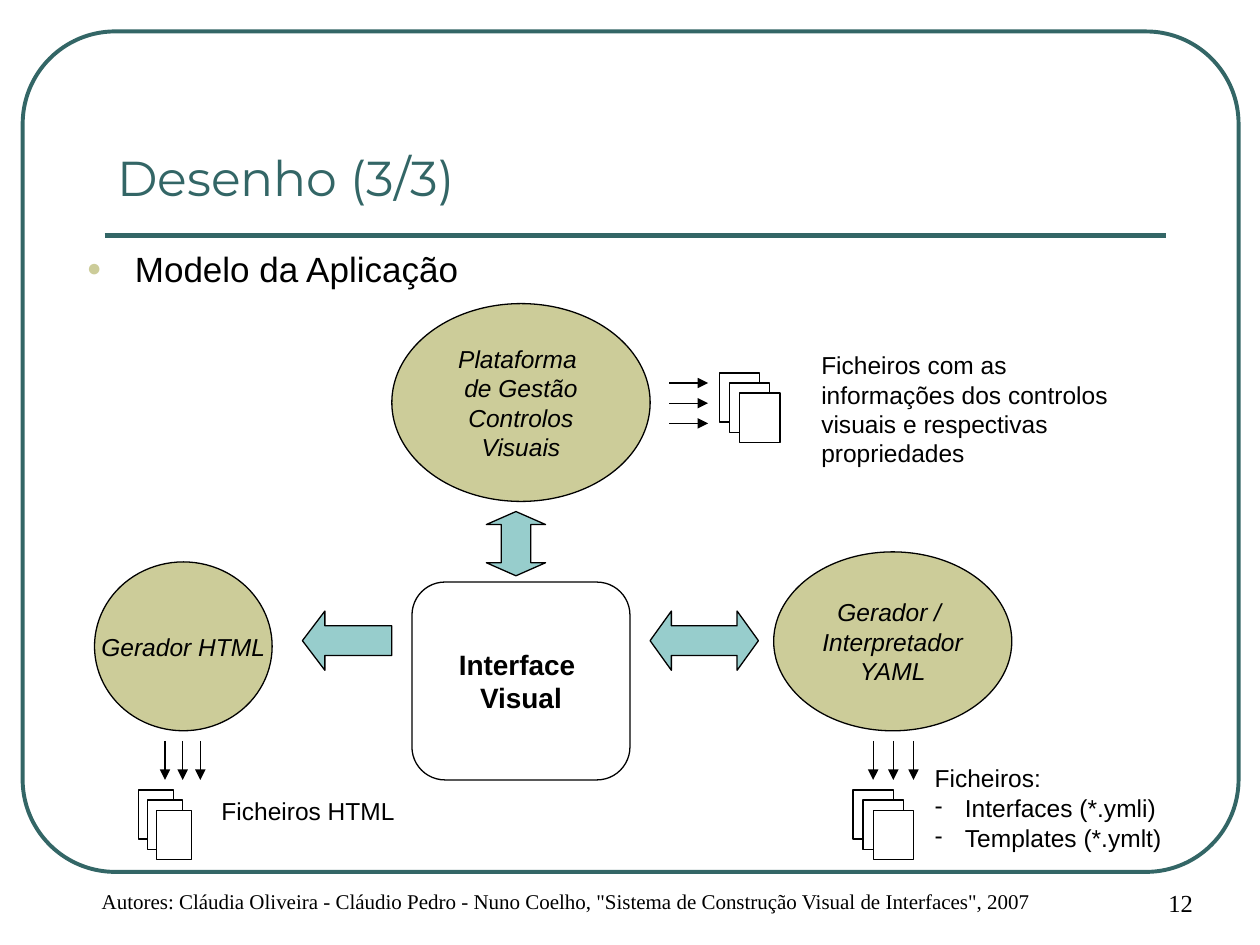
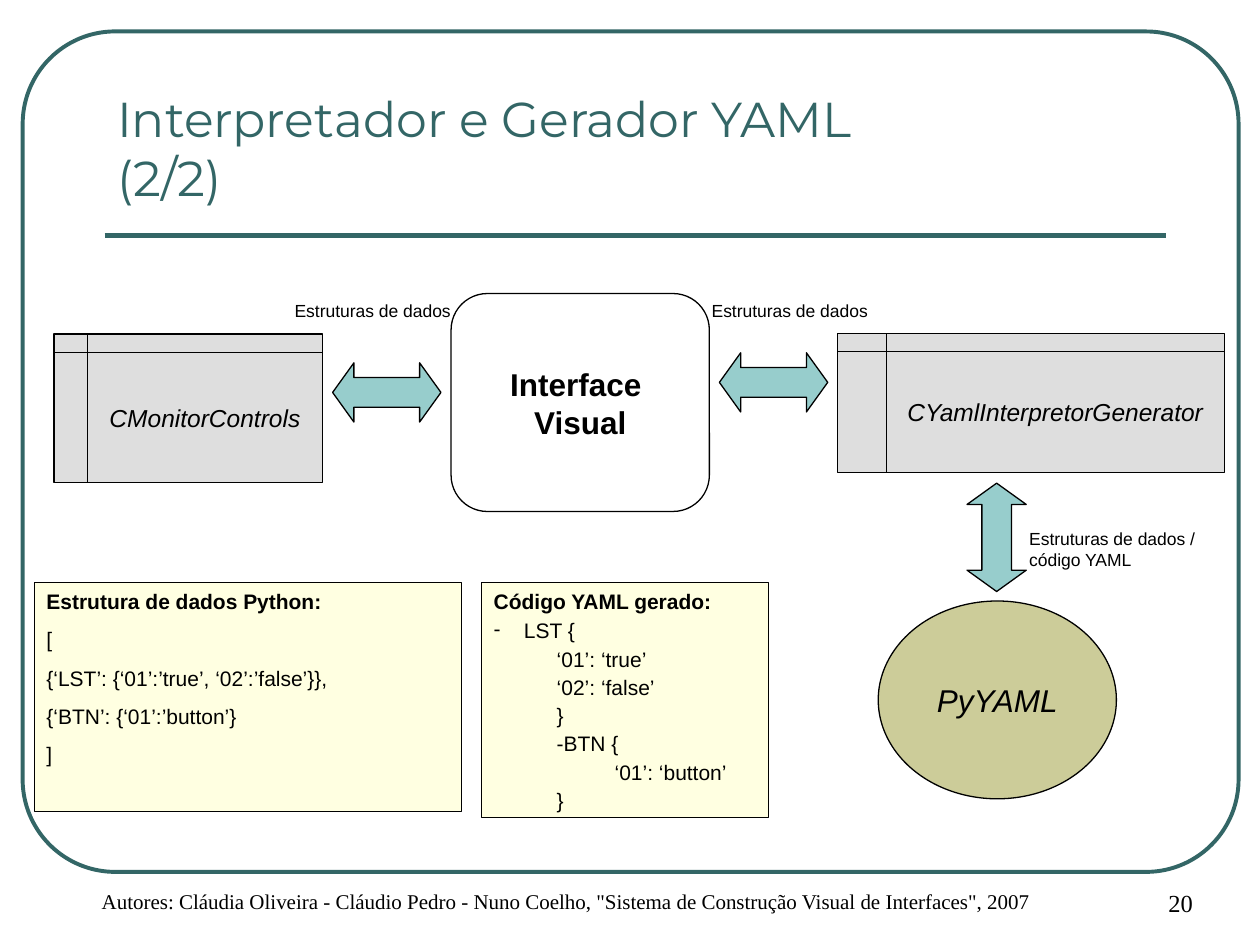
from dataclasses import dataclass
from typing import Any, Optional

from lxml.etree import SubElement
from pptx import Presentation
from pptx.dml.color import RGBColor
from pptx.enum.shapes import MSO_CONNECTOR, MSO_SHAPE
from pptx.enum.text import MSO_ANCHOR, MSO_AUTO_SIZE, PP_ALIGN
from pptx.oxml.ns import qn
from pptx.util import Inches, Pt

TEAL, SAND, AQUA = "336666", "CCCC99", "97CDCC"
GREY, CREAM, WHITE, BLACK = "DEDEDE", "FFFFE1", "FFFFFF", "000000"
AUTHORS = ('Autores: Cláudia Oliveira - Cláudio Pedro - Nuno Coelho, '
           '"Sistema de Construção Visual de Interfaces", 2007')


@dataclass(frozen=True)
class Box:
    left: float
    top: float
    width: float
    height: float

    def lengths(self) -> list[Inches]:
        return [Inches(v) for v in (self.left, self.top, self.width, self.height)]


@dataclass(frozen=True)
class Style:
    size: float
    font: str = "Arial"
    color: str = BLACK
    bold: bool = False
    italic: bool = False
    align: PP_ALIGN = PP_ALIGN.LEFT
    before: float = 0


@dataclass(frozen=True)
class Line:
    text: str
    bold: bool = False
    margin: float = 0
    hang: float = 0
    spacing: Optional[float] = None
    bullet: str = ""
    bullet_color: str = BLACK
    bullet_percent: int = 100


@dataclass(frozen=True)
class Node:
    kind: MSO_SHAPE
    box: Box
    fill: str
    style: Style
    lines: tuple[str, ...]


@dataclass(frozen=True)
class Arrow:
    box: Box
    head: float
    kind: MSO_SHAPE = MSO_SHAPE.LEFT_RIGHT_ARROW
    rotation: int = 0


@dataclass(frozen=True)
class FileOutput:
    arrow_left: float
    arrow_top: float
    arrow_step: float
    downward: bool
    page: Box
    page_step: float


@dataclass(frozen=True)
class Note:
    box: Box
    lines: tuple[Line, ...]


TITLE = Style(28, "Montserrat", TEAL)
TOPIC = Style(20, before=5)
CAPTION = Style(14, before=8.8)
SMALL = Style(10, before=6.2)
CODE = Style(12, before=7.5)
COMPONENT = Style(14, italic=True, align=PP_ALIGN.CENTER)
LIBRARY = Style(18, italic=True, align=PP_ALIGN.CENTER)
FOOTER = Style(12, "Times New Roman", align=PP_ALIGN.CENTER)
PAGE_NUMBER = Style(14, "Times New Roman", align=PP_ALIGN.CENTER)


def hub(size: float) -> Style:
    return Style(size, bold=True, align=PP_ALIGN.CENTER)


def rgb(color: str) -> RGBColor:
    return RGBColor.from_string(color)


def apply(target: Any, values: dict[str, Any]) -> None:
    for name, value in values.items():
        setattr(target, name, value)


def add_bullet(properties: Any, line: Line) -> None:
    color = SubElement(properties, qn("a:buClr"))
    SubElement(color, qn("a:srgbClr"), val=line.bullet_color)
    SubElement(properties, qn("a:buSzPct"), val=str(line.bullet_percent * 1000))
    SubElement(properties, qn("a:buFont"), typeface="Arial")
    SubElement(properties, qn("a:buChar"), char=line.bullet)


def write(frame: Any, lines: tuple[Line, ...], style: Style,
          anchor: MSO_ANCHOR = MSO_ANCHOR.TOP, wrap: bool = True) -> None:
    apply(frame, {
        "auto_size": MSO_AUTO_SIZE.NONE, "word_wrap": wrap, "vertical_anchor": anchor,
        "margin_left": Inches(0.1), "margin_right": Inches(0.1),
        "margin_top": Inches(0.05), "margin_bottom": Inches(0.05),
    })
    for index, line in enumerate(lines):
        paragraph = frame.paragraphs[0] if index == 0 else frame.add_paragraph()
        apply(paragraph, {"alignment": style.align, "space_before": Pt(style.before),
                          "line_spacing": line.spacing})
        properties = paragraph._p.get_or_add_pPr()
        properties.set("marL", str(Inches(line.margin)))
        properties.set("indent", str(Inches(-line.hang)))
        if line.bullet:
            add_bullet(properties, line)
        run = paragraph.add_run()
        run.text = line.text
        apply(run.font, {"name": style.font, "size": Pt(style.size),
                         "bold": style.bold or line.bold, "italic": style.italic})
        run.font.color.rgb = rgb(style.color)


def add_label(slide: Any, box: Box, lines: tuple[Line, ...], style: Style) -> None:
    write(slide.shapes.add_textbox(*box.lengths()).text_frame, lines, style)


def add_outline(slide: Any, kind: MSO_SHAPE, box: Box, fill: Optional[str],
                line: str = BLACK, weight: float = 0.75,
                adjustments: tuple[float, ...] = ()) -> Any:
    shape = slide.shapes.add_shape(kind, *box.lengths())
    shape.shadow.inherit = False
    if fill:
        shape.fill.solid()
        shape.fill.fore_color.rgb = rgb(fill)
    else:
        shape.fill.background()
    shape.line.color.rgb = rgb(line)
    shape.line.width = Pt(weight)
    for index, value in enumerate(adjustments):
        shape.adjustments[index] = value
    return shape


def add_line(slide: Any, start: tuple[float, float], end: tuple[float, float],
             color: str = BLACK, weight: float = 0.75, arrow: bool = True) -> None:
    connector = slide.shapes.add_connector(
        MSO_CONNECTOR.STRAIGHT, *[Inches(v) for v in (*start, *end)])
    connector.line.color.rgb = rgb(color)
    connector.line.width = Pt(weight)
    properties = connector._element.spPr
    if arrow:
        SubElement(properties.find(qn("a:ln")), qn("a:tailEnd"), type="triangle")
    SubElement(properties, qn("a:effectLst"))


def add_node(slide: Any, node: Node) -> None:
    shape = add_outline(slide, node.kind, node.box, node.fill)
    write(shape.text_frame, tuple(Line(text) for text in node.lines), node.style,
          MSO_ANCHOR.MIDDLE, wrap=False)


def add_arrow(slide: Any, arrow: Arrow) -> None:
    shape = add_outline(slide, arrow.kind, arrow.box, AQUA, adjustments=(0.5, arrow.head))
    shape.rotation = arrow.rotation


def add_file_output(slide: Any, output: FileOutput) -> None:
    length = 0.31
    for index in range(3):
        shift = index * output.arrow_step
        if output.downward:
            x, y = output.arrow_left + shift, output.arrow_top
            add_line(slide, (x, y), (x, y + length))
        else:
            x, y = output.arrow_left, output.arrow_top + shift
            add_line(slide, (x, y), (x + length, y))
    page = output.page
    for index in range(3):
        sheet = Box(page.left + index * output.page_step, page.top + index * 0.08,
                    page.width, page.height)
        add_outline(slide, MSO_SHAPE.RECTANGLE, sheet, WHITE)


def add_note(slide: Any, note: Note) -> None:
    shape = add_outline(slide, MSO_SHAPE.RECTANGLE, note.box, CREAM, weight=0.5)
    write(shape.text_frame, note.lines, CODE)


def place(placeholder: Any, box: Box) -> None:
    apply(placeholder, dict(zip(("left", "top", "width", "height"), box.lengths())))


def start_slide(deck: Any, layout: int, title: str, number: int) -> Any:
    slide = deck.slides.add_slide(deck.slide_layouts[layout])
    add_outline(slide, MSO_SHAPE.ROUNDED_RECTANGLE, Box(0.18, 0.25, 9.65, 6.67),
                None, TEAL, 2.25, (0.11,))
    add_line(slide, (0.83, 1.87), (9.25, 1.87), TEAL, 3, arrow=False)
    place(slide.shapes.title, Box(0.83, 0.44, 6.53, 1.25))
    write(slide.shapes.title.text_frame, (Line(title),), TITLE, MSO_ANCHOR.BOTTOM)
    add_label(slide, Box(0.2, 7, 8.35, 0.5), (Line(AUTHORS, margin=0.24),), FOOTER)
    add_label(slide, Box(8.7, 7, 1.1, 0.5), (Line(str(number), margin=0.24),), PAGE_NUMBER)
    return slide


def build_design(deck: Any) -> None:
    slide = start_slide(deck, 1, "Desenho (3/3)", 12)
    topic = slide.placeholders[1]
    place(topic, Box(0.59, 1.78, 8.42, 0.72))
    write(topic.text_frame, (Line("Modelo da Aplicação", margin=0.38, hang=0.38, spacing=1.4,
                                  bullet="●", bullet_color=SAND, bullet_percent=70),), TOPIC)
    for node in (
        Node(MSO_SHAPE.ROUNDED_RECTANGLE, Box(3.27, 4.62, 1.73, 1.57), WHITE, hub(16),
             ("Interface ", "Visual")),
        Node(MSO_SHAPE.OVAL, Box(0.75, 4.46, 1.41, 1.34), SAND, COMPONENT, ("Gerador HTML",)),
        Node(MSO_SHAPE.OVAL, Box(6.14, 4.38, 1.89, 1.42), SAND, COMPONENT,
             ("Gerador / ", "Interpretador", "YAML")),
        Node(MSO_SHAPE.OVAL, Box(3.11, 2.41, 2.05, 1.57), SAND, COMPONENT,
             ("Plataforma ", "de Gestão", "Controlos", "Visuais")),
    ):
        add_node(slide, node)
    for output in (
        FileOutput(1.31, 5.88, 0.14, True, Box(1.1, 6.27, 0.28, 0.39), 0.07),
        FileOutput(6.93, 5.88, 0.16, True, Box(6.77, 6.27, 0.32, 0.39), 0.08),
        FileOutput(5.31, 3.04, 0.16, False, Box(5.71, 2.96, 0.32, 0.39), 0.08),
    ):
        add_file_output(slide, output)
    add_label(slide, Box(1.66, 6.27, 1.76, 0.34), (Line("Ficheiros HTML"),), CAPTION)
    add_label(slide, Box(6.42, 2.73, 2.56, 1.04), (Line(
        "Ficheiros com as informações dos controlos visuais e respectivas propriedades"),),
        CAPTION)
    kinds = tuple(Line(text, margin=0.24, hang=0.24, spacing=0.5, bullet="-")
                  for text in ("Interfaces (*.ymli)", "Templates (*.ymlt)"))
    add_label(slide, Box(7.32, 6.11, 2.56, 0.7),
              (Line("Ficheiros:", spacing=0.5), *kinds), CAPTION)
    for arrow in (
        Arrow(Box(5.16, 4.85, 0.86, 0.47), 0.36),
        Arrow(Box(3.84, 4.08, 0.51, 0.47), 0.22, rotation=90),
        Arrow(Box(2.4, 4.85, 0.71, 0.47), 0.38, MSO_SHAPE.LEFT_ARROW),
    ):
        add_arrow(slide, arrow)


def build_yaml(deck: Any) -> None:
    slide = start_slide(deck, 5, "Interpretador e Gerador YAML (2/2)", 20)
    storage = MSO_SHAPE.FLOWCHART_INTERNAL_STORAGE
    for node in (
        Node(MSO_SHAPE.ROUNDED_RECTANGLE, Box(3.58, 2.33, 2.05, 1.73), WHITE, hub(18),
             ("Interface ", "Visual")),
        Node(storage, Box(0.43, 2.65, 2.13, 1.18), GREY, COMPONENT, ("CMonitorControls",)),
        Node(storage, Box(6.65, 2.65, 3.07, 1.1), GREY, COMPONENT,
             ("CYamlInterpretorGenerator",)),
        Node(MSO_SHAPE.OVAL, Box(6.97, 4.77, 1.89, 1.57), SAND, LIBRARY, ("PyYAML",)),
    ):
        add_node(slide, node)
    for box, text in (
        (Box(2.24, 2.33, 1.57, 0.27), "Estruturas de dados"),
        (Box(5.55, 2.33, 1.57, 0.27), "Estruturas de dados"),
        (Box(8.07, 4.14, 1.57, 0.44), "Estruturas de dados / código YAML"),
    ):
        add_label(slide, box, (Line(text),), SMALL)
    for left, top, rotation in ((2.64, 2.88, 0), (5.71, 2.8, 0), (7.48, 4.03, 90)):
        add_arrow(slide, Arrow(Box(left, top, 0.86, 0.47), 0.36, rotation=rotation))
    python_lines = ("[", "{‘LST’: {‘01’:’true’, ‘02’:’false’}},", "{‘BTN’: {‘01’:’button’}", "]")
    yaml_lines = (("‘01’: ‘true’", 0.5), ("‘02’: ‘false’", 0.5), ("}", 0.5),
                  ("-BTN {", 0.5), ("‘01’: ‘button’", 0.96), ("}", 0.5))
    for note in (
        Note(Box(0.27, 4.62, 3.39, 1.82),
             (Line("Estrutura de dados Python:", bold=True), *map(Line, python_lines))),
        Note(Box(3.82, 4.62, 2.28, 1.87),
             (Line("Código YAML gerado:", bold=True),
              Line("LST {", margin=0.24, hang=0.24, spacing=0.6, bullet="-"),
              *(Line(text, margin=margin, spacing=0.6) for text, margin in yaml_lines))),
    ):
        add_note(slide, note)


def main() -> None:
    deck = Presentation()
    deck.slide_width, deck.slide_height = Inches(10), Inches(7.5)
    build_design(deck)
    build_yaml(deck)
    deck.save("out.pptx")


if __name__ == "__main__":
    main()
